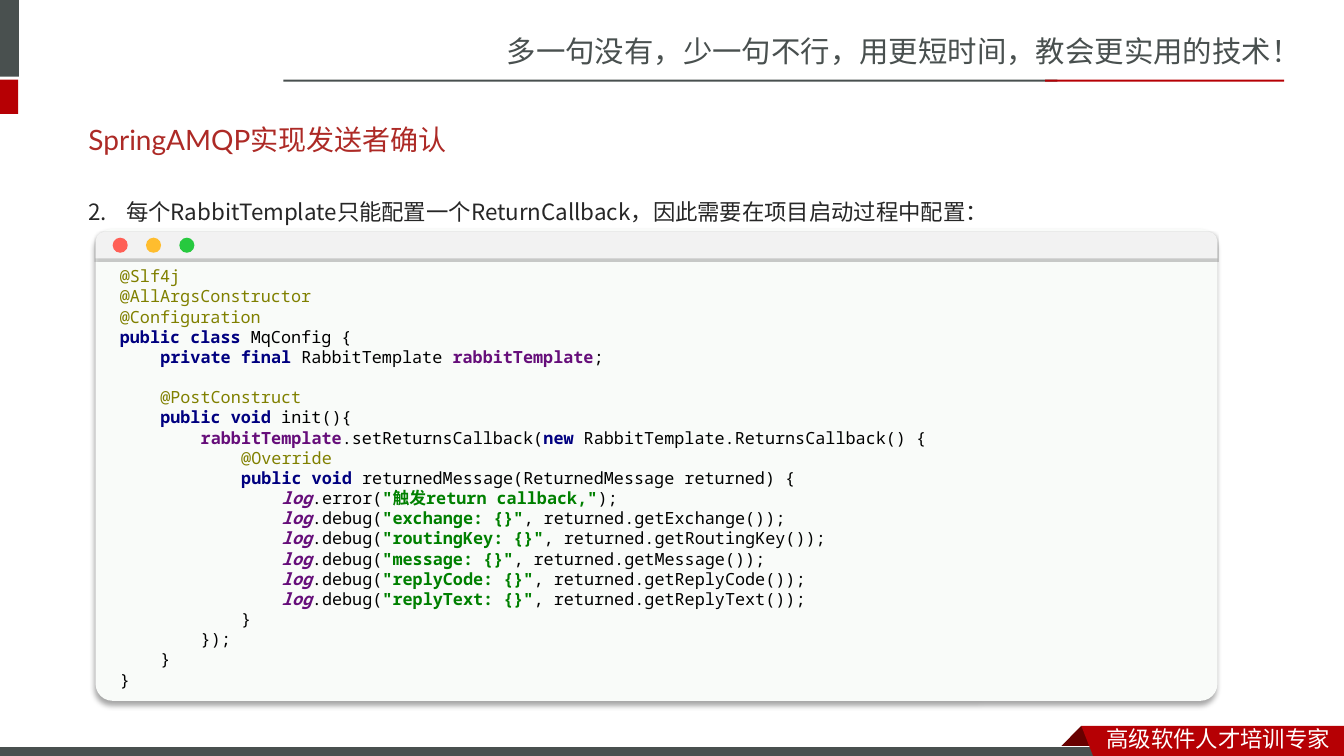
from lxml.etree import SubElement
from pptx import Presentation
from pptx.dml.color import RGBColor as RGB
from pptx.enum.shapes import MSO_SHAPE as Kind
from pptx.enum.text import MSO_ANCHOR as Anchor
from pptx.oxml.ns import qn
from pptx.util import Cm, Pt

GREY, RED, DARK = "49504F", "B60004", "680000"
SANS, MONO = "Noto Sans CJK SC", "Noto Sans Mono"
STYLES = {
    "note": ("808000", False, False),
    "key": ("000080", True, False),
    "field": ("660E7A", True, False),
    "log": ("660E7A", True, True),
    "str": ("008000", True, False),
    "han": ("008000", True, False),
    "code": ("000000", False, False),
}
FIELDS = ["exchange", "routingKey", "message", "replyCode", "replyText"]
CODE = [
    (0, [("note", "@Slf4j")]),
    (0, [("note", "@AllArgsConstructor")]),
    (0, [("note", "@Configuration")]),
    (0, [("key", "public class "), ("code", "MqConfig {")]),
    (1, [("key", "private final "), ("code", "RabbitTemplate "),
         ("field", "rabbitTemplate"), ("code", ";")]),
    (1, [("note", "@PostConstruct")]),
    (1, [("key", "public void "), ("code", "init(){")]),
    (2, [("field", "rabbitTemplate"), ("code", ".setReturnsCallback("),
         ("key", "new "), ("code", "RabbitTemplate.ReturnsCallback() {")]),
    (3, [("note", "@Override")]),
    (3, [("key", "public void "),
         ("code", "returnedMessage(ReturnedMessage returned) {")]),
    (4, [("log", "log"), ("code", ".error("), ("str", '"'), ("han", "触发"),
         ("str", 'return callback,"'), ("code", ");")]),
    *[(4, [("log", "log"), ("code", ".debug("), ("str", f'"{name}: {{}}"'),
           ("code", f", returned.get{name[0].upper()}{name[1:]}());")])
      for name in FIELDS],
    (3, [("code", "}")]),
    (2, [("code", "});")]),
    (1, [("code", "}")]),
    (0, [("code", "}")]),
]


def color(text):
    """Turn a hex string into a colour."""
    return RGB.from_string(text)


def paint(shape, fill):
    """Give a shape a plain fill without line or shadow."""
    shape.shadow.inherit = False
    shape.fill.solid()
    shape.fill.fore_color.rgb = color(fill)
    shape.line.fill.background()
    return shape


def block(slide, box, fill, kind=Kind.RECTANGLE):
    """Draw a preset shape in a box."""
    return paint(slide.shapes.add_shape(kind, *map(Cm, box)), fill)


def poly(slide, points, fill):
    """Draw a closed outline through points."""
    spots = [(Cm(x), Cm(y)) for x, y in points]
    build = slide.shapes.build_freeform(*spots[0])
    build.add_line_segments(spots[1:])
    return paint(build.convert_to_shape(), fill)


def shade(shape, alpha, blur, dist):
    """Drop a black shadow straight down."""
    effects = shape._element.spPr.find(qn("a:effectLst"))
    outer = SubElement(effects, qn("a:outerShdw"), blurRad=str(Pt(blur)),
                       dist=str(Pt(dist)), dir="5400000", algn="t", rotWithShape="0")
    tint = SubElement(outer, qn("a:srgbClr"), val="000000")
    SubElement(tint, qn("a:alpha"), val=str(alpha * 1000))


def face(font, name, asian=None):
    """Set the Latin and East Asian typefaces."""
    font.name = name
    SubElement(font._rPr, qn("a:ea"), typeface=asian or name)


def label(slide, box, text, size, name, ink, asian=None, wrap=True):
    """Place one paragraph of text in a box."""
    frame = slide.shapes.add_textbox(*map(Cm, box)).text_frame
    frame.word_wrap = wrap
    para = frame.paragraphs[0]
    para.text = text
    para.font.size = Pt(size)
    para.font.color.rgb = color(ink)
    face(para.font, name, asian)
    return frame


def header(slide, x, y):
    """Draw the slogan, the edge marks and the rule."""
    label(slide, (x + 12.52, y + 0.71, 21.34, 1.19),
          "多一句没有，少一句不行，用更短时间，教会更实用的技术！", 21, SANS, GREY, wrap=False)
    block(slide, (x, y, 0.48, 1.93), GREY)
    block(slide, (x, y + 2.01, 0.46, 0.86), RED)
    block(slide, (x + 7.14, y + 2.01, 19.51, 0.05), GREY)
    block(slide, (x + 26.34, y + 2.01, 6.02, 0.05), RED)


def footer(slide, x, y):
    """Draw the bottom strip and its ribbon."""
    poly(slide, [(x + 27.25, y), (x + 27.81, y + 0.56), (x + 27.79, y + 0.58),
                 (x + 26.72, y + 0.58), (x + 26.7, y + 0.56)], DARK)
    strip = block(slide, (x, y + 0.53, 27.91, 0.3), GREY)
    strip.line.color.rgb = color("FFFFFF")
    strip.line.width = Pt(0.75)
    poly(slide, [(x + 27.25, y), (x + 33.87, y), (x + 33.87, y + 0.86),
                 (x + 27.58, y + 0.84)], RED)
    label(slide, (x + 27.64, y - 0.13, 6.22, 0.94), "高级软件人才培训专家",
          16, SANS, "FFFFFF", wrap=False)


def intro(slide, x, y, wide):
    """Write the title and the numbered step."""
    title = label(slide, (x, y, wide, 1.45), "SpringAMQP实现发送者确认",
                  20, "Lato", "AD2A26", SANS)
    title.vertical_anchor = Anchor.MIDDLE
    step = label(slide, (x, y + 1.73, wide, 6.53),
                 "每个RabbitTemplate只能配置一个ReturnCallback，因此需要在项目启动过程中配置：",
                 16, "Noto Sans CJK JP", "262626").paragraphs[0]
    step.line_spacing = 1.5
    step.space_before = Pt(3.2)
    props = step._p.get_or_add_pPr()
    props.set("marL", str(Cm(0.95)))
    props.set("indent", str(Cm(-0.95)))
    mark = SubElement(props, qn("a:buAutoNum"), type="arabicPeriod", startAt="2")
    props.find(qn("a:defRPr")).addprevious(mark)


def listing(slide, box):
    """Write the code, one paragraph a line."""
    frame = slide.shapes.add_textbox(*map(Cm, box)).text_frame
    frame.word_wrap = True
    frame.margin_left = frame.margin_right = Cm(0.61)
    for row, (level, parts) in enumerate(CODE):
        para = frame.add_paragraph() if row else frame.paragraphs[0]
        para.font.size = Pt(12)
        para._p.get_or_add_pPr().set("marL", str(Cm(1.02 * level)))
        if parts[0][1] == "@PostConstruct":
            para.space_before = Pt(14.4)
        for style, text in parts:
            run = para.add_run()
            run.text = text
            ink, run.font.bold, run.font.italic = STYLES[style]
            run.font.color.rgb = color(ink)
            face(run.font, "Courier New" if style == "han" else MONO)


def window(slide, x, y, wide, high):
    """Draw the editor window with its bar, dots and code."""
    pane = block(slide, (x, y, wide, high), "F9FBF9", Kind.ROUNDED_RECTANGLE)
    pane.adjustments[0] = 0.036
    shade(pane, 34, 4, 3)
    listing(slide, (x, y + 0.81, wide - 0.3, high - 0.87))
    bar = block(slide, (x, y + 0.07, wide, 0.67), "F2F2F2", Kind.ROUND_2_SAME_RECTANGLE)
    bar.adjustments[0] = 0.35
    shade(bar, 20, 1, 1)
    for col, fill in enumerate(["FF5F56", "FFBD2E", "27C93F"]):
        block(slide, (x + 0.43 + 0.84 * col, y + 0.22, 0.38, 0.38), fill, Kind.OVAL)


def main():
    """Build the slide and save it."""
    deck = Presentation()
    deck.slide_width, deck.slide_height = Cm(33.87), Cm(19.05)
    slide = deck.slides.add_slide(deck.slide_layouts[6])
    header(slide, 0, 0)
    footer(slide, 0, 18.29)
    intro(slide, 1.98, 2.79, 29.72)
    window(slide, 2.41, 5.77, 28.27, 11.89)
    deck.save("out.pptx")


if __name__ == "__main__":
    main()
